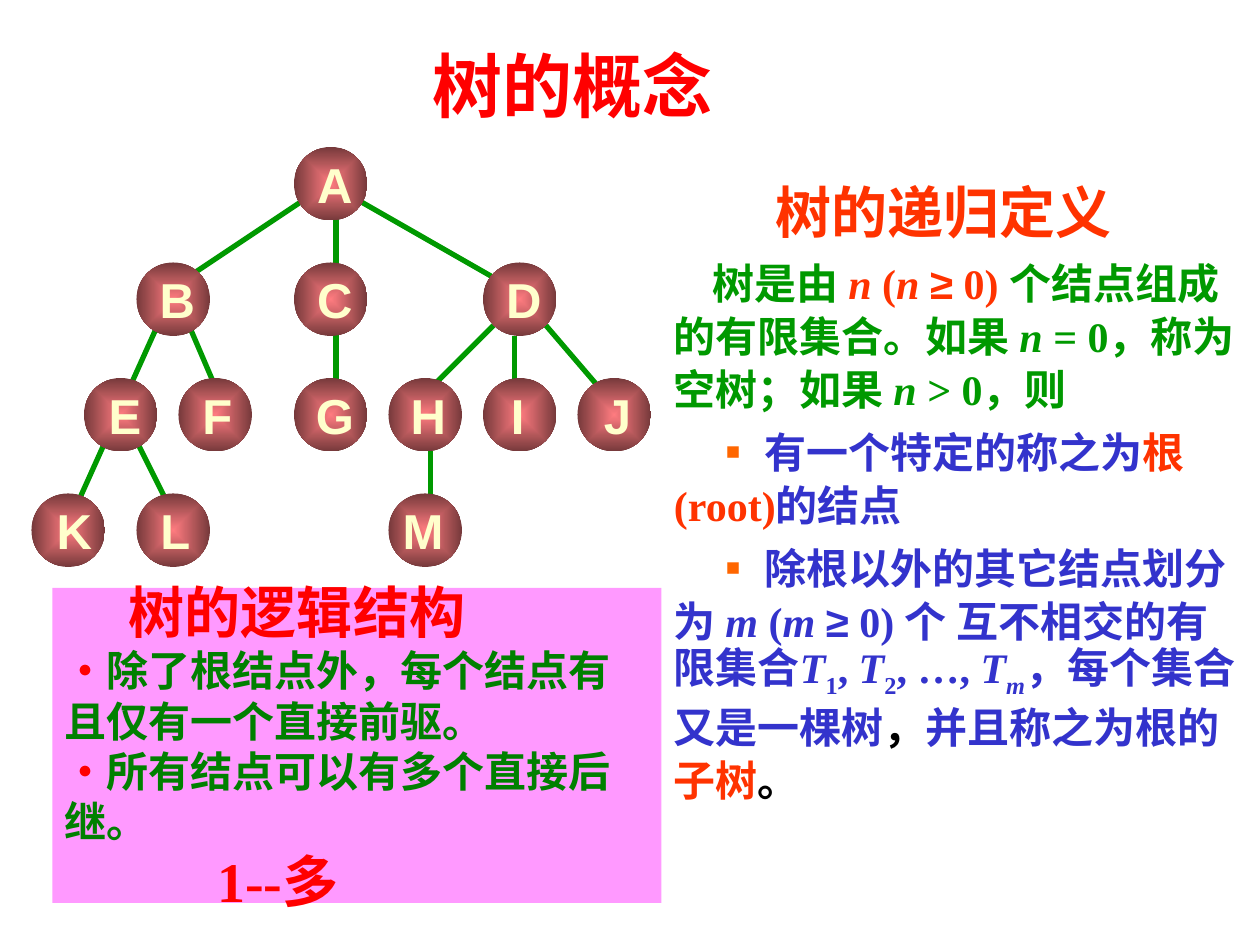
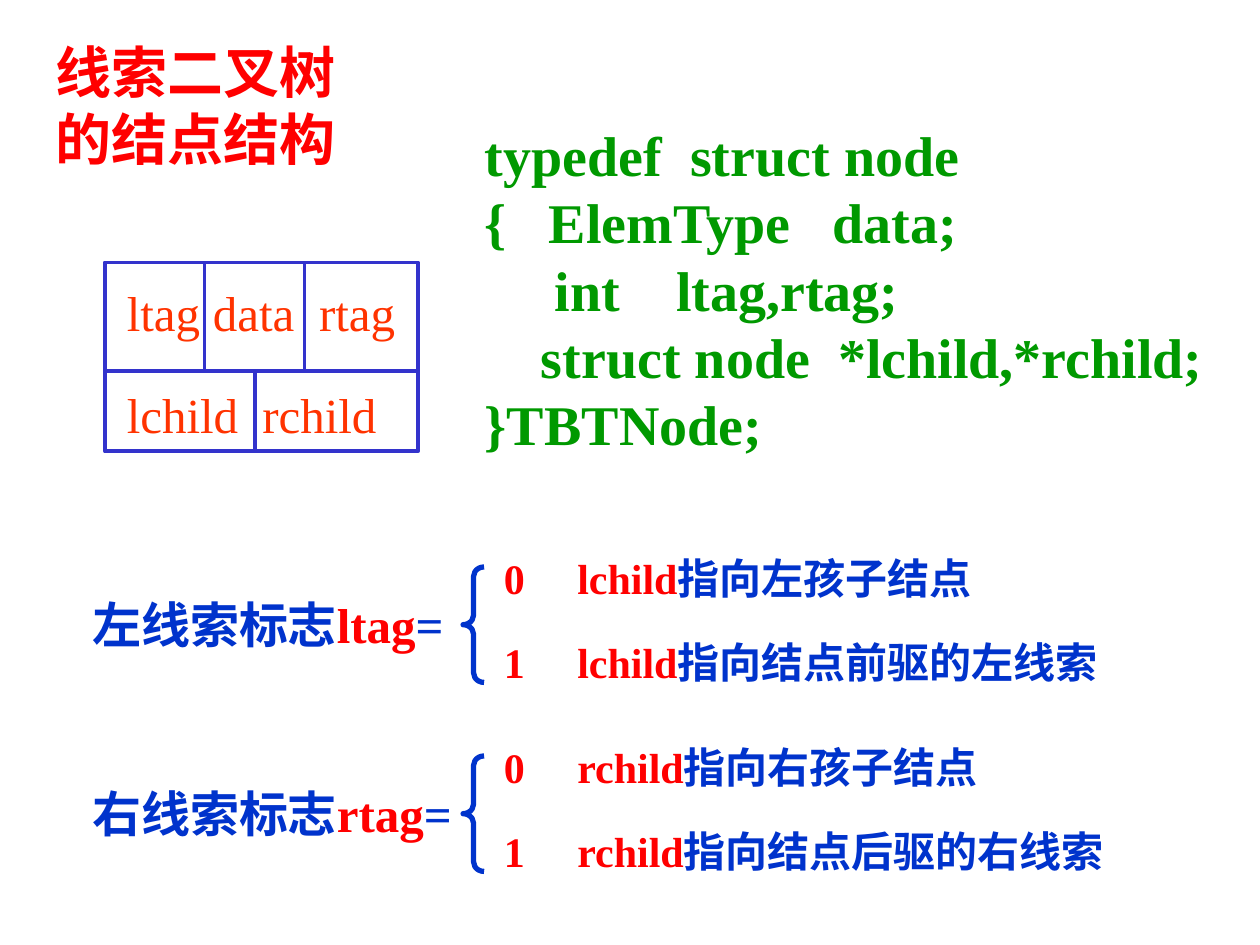
from dataclasses import dataclass

from lxml.etree import SubElement
from pptx import Presentation
from pptx.dml.color import RGBColor
from pptx.enum.shapes import MSO_CONNECTOR, MSO_SHAPE
from pptx.enum.text import MSO_ANCHOR, PP_ALIGN
from pptx.oxml.ns import qn
from pptx.util import Emu, Pt

EMU_PER_PX = 7620


@dataclass(frozen=True)
class Theme:
    """Colours, fonts and type sizes shared by the slides."""
    red: str = "FF0000"
    vermilion: str = "FF3300"
    orange: str = "FF6600"
    green: str = "009900"
    dark_green: str = "008000"
    indigo: str = "3333CC"
    blue: str = "0033CC"
    black: str = "000000"
    cream: str = "FFFFCC"
    pink: str = "FF99FF"
    node_light: str = "FF7C80"
    node_dark: str = "76393B"
    serif: str = "Times New Roman"
    sans: str = "Arial"
    chinese: str = "Noto Sans CJK SC"
    title: int = 40
    heading: int = 32
    label: int = 28
    body: int = 24
    leading: float = 1.2
    loose_leading: float = 1.26


THEME = Theme()


@dataclass(frozen=True)
class Span:
    """A run of text in one style."""
    text: str
    color: str
    italic: bool = False
    subscript: bool = False
    font: str = THEME.serif
    bold: bool = True


@dataclass(frozen=True)
class Line:
    """A paragraph made of spans."""
    spans: tuple
    size: int = THEME.body
    indent: int = 0
    before: int = 0
    leading: float = THEME.leading
    align: PP_ALIGN = PP_ALIGN.LEFT


def px(length):
    """Turn pixels into EMU."""
    return Emu(length * EMU_PER_PX)


def rgb(color):
    """Turn a hex string into a colour."""
    return RGBColor.from_string(color)


def write_line(para, line):
    """Fill a paragraph with the spans of a line."""
    properties = para._p.get_or_add_pPr()
    properties.set("marL", "0")
    properties.set("indent", str(px(line.indent)))
    para.alignment = line.align
    para.line_spacing = Pt(round(line.size * line.leading, 1))
    para.space_before = Pt(line.before)
    for span in line.spans:
        run = para.add_run()
        run.text = span.text
        run.font.name = span.font
        run.font.size = Pt(line.size)
        run.font.bold = span.bold
        run.font.italic = span.italic
        run.font.color.rgb = rgb(span.color)
        run_properties = run.font._element
        SubElement(run_properties, qn("a:ea"), typeface=THEME.chinese)
        if span.subscript:
            run_properties.set("baseline", "-25000")


def write(shape, lines, wrap=True, anchor=MSO_ANCHOR.TOP):
    """Write lines into the text frame of a shape."""
    frame = shape.text_frame
    frame.word_wrap = wrap
    frame.vertical_anchor = anchor
    for index, line in enumerate(lines):
        para = frame.add_paragraph() if index else frame.paragraphs[0]
        write_line(para, line)


def add_text(page, box, lines, wrap=True, anchor=MSO_ANCHOR.TOP):
    """Add a text box holding lines."""
    shape = page.shapes.add_textbox(*map(px, box))
    write(shape, lines, wrap, anchor)


def add_shape(page, kind, box, fill=None, line=None, weight=0):
    """Add a flat preset shape."""
    shape = page.shapes.add_shape(kind, *map(px, box))
    shape.shadow.inherit = False
    if fill:
        shape.fill.solid()
        shape.fill.fore_color.rgb = rgb(fill)
    else:
        shape.fill.background()
    if line:
        shape.line.color.rgb = rgb(line)
        shape.line.width = Pt(weight)
    else:
        shape.line.fill.background()
    return shape


def add_line(page, start, end, color, weight):
    """Add a straight line without shadow."""
    line = page.shapes.add_connector(MSO_CONNECTOR.STRAIGHT, *map(px, (*start, *end)))
    line.line.color.rgb = rgb(color)
    line.line.width = Pt(weight)
    SubElement(line._element.spPr, qn("a:effectLst"))


def add_node(page, box, letter, nudge):
    """Add a glowing tree node whose letter is nudged sideways."""
    node = add_shape(page, MSO_SHAPE.OVAL, box)
    node.fill.gradient()
    for stop, color in zip(node.fill.gradient_stops, (THEME.node_light, THEME.node_dark)):
        stop.color.rgb = rgb(color)
    gradient = node._element.spPr.find(qn("a:gradFill"))
    gradient.remove(gradient.find(qn("a:lin")))
    glow = SubElement(gradient, qn("a:path"), {"path": "rect"})
    SubElement(glow, qn("a:fillToRect"), {side: "50000" for side in "ltrb"})
    frame = node.text_frame
    frame.margin_top = frame.margin_bottom = 0
    frame.margin_left, frame.margin_right = px(max(2 * nudge, 0)), px(max(-2 * nudge, 0))
    span = Span(letter, THEME.cream, font=THEME.sans)
    write(node, [Line((span,), THEME.label, align=PP_ALIGN.CENTER)], False, MSO_ANCHOR.MIDDLE)


def draw_tree(page, box):
    """Draw the edges and then the nodes of the example tree."""
    left, top, _, _ = box
    diameter, row_step = 70, 110
    edges = (
        ((490, 170), (550, 240)), ((440, 170), (380, 230)), ((460, 180), (460, 230)),
        ((380, 290), (380, 350)), ((310, 50), (450, 130)), ((260, 50), (140, 130)),
        ((290, 60), (290, 290)), ((150, 170), (180, 240)), ((100, 280), (130, 340)),
        ((120, 170), (30, 370)),
    )
    rows = (
        (("A", 250, 4),),
        (("B", 100, 4), ("C", 250, 4), ("D", 430, 4)),
        (("E", 50, 4), ("F", 140, 2), ("G", 250, 4), ("H", 340, 3), ("I", 430, -2), ("J", 520, 3)),
        (("K", 0, 6), ("L", 100, 2), ("M", 340, -2)),
    )
    for edge in edges:
        start, end = ((left + x, top + y) for x, y in edge)
        add_line(page, start, end, THEME.green, 3)
    for level, row in enumerate(rows):
        for letter, x, nudge in row:
            node_box = (left + x, top + level * row_step, diameter, diameter)
            add_node(page, node_box, letter, nudge)


def draw_definition(page, box):
    """Write the recursive definition of a tree."""
    red, green, indigo = THEME.vermilion, THEME.green, THEME.indigo
    bullet = Span("▪ ", THEME.orange, font=THEME.sans)

    def count(name, color):
        """Give the spans of a bound such as n (n ≥ 0)."""
        return (Span(name, color, True), Span(" (", color), Span(name + " ", color, True),
                Span("≥", color, font=THEME.sans), Span(" 0) ", color))

    def subtree(index, italic=False):
        """Give the spans of a subtree name with its subscript."""
        return Span("T", indigo, True), Span(index, indigo, italic, True)

    intro = (Span("树是由 ", green), *count("n", red), Span("个结点组成的有限集合。如果 ", green),
             Span("n", green, True), Span(" = 0，称为空树；如果 ", green),
             Span("n", green, True), Span(" > 0，则", green))
    root = (bullet, Span("有一个特定的称之为", indigo), Span("根(root)", red), Span("的结点", indigo))
    rest = (bullet, Span("除根以外的其它结点划分为 ", indigo), *count("m", indigo),
            Span("个 互不相交的有限集合", indigo), *subtree("1"), Span(", ", indigo),
            *subtree("2"), Span(", …, ", indigo), *subtree("m", True),
            Span("，每个集合又是一棵树", indigo), Span("，", THEME.black),
            Span("并且称之为根的", indigo), Span("子树", red), Span("。", THEME.black))
    loose = THEME.loose_leading
    lines = [Line((Span("树的递归定义", red),), THEME.heading, 97, leading=loose)]
    for spans in (intro, root, rest):
        lines.append(Line(spans, indent=37, before=6, leading=loose))
    add_text(page, box, lines)


def draw_logic(page, box):
    """Draw the pink panel on the logical structure."""
    panel = add_shape(page, MSO_SHAPE.RECTANGLE, box, THEME.pink)
    facts = ("除了根结点外，每个结点有且仅有一个直接前驱。", "所有结点可以有多个直接后继。")
    lines = [Line((Span("树的逻辑结构", THEME.red),), THEME.heading, 61)]
    lines += [Line((Span("•", THEME.red), Span(fact, THEME.dark_green))) for fact in facts]
    lines.append(Line((Span("1--多", THEME.red),), THEME.heading, 145))
    write(panel, lines, anchor=MSO_ANCHOR.MIDDLE)


def draw_title(page, box, texts, size, anchor):
    """Write a red centred title, one paragraph per text."""
    lines = [Line((Span(text, THEME.red),), size, align=PP_ALIGN.CENTER) for text in texts]
    add_text(page, box, lines, anchor=anchor)


def draw_record(page, box):
    """Draw the node record with its five fields."""
    left, top, width, height = box
    middle, bottom = top + 103, top + height
    fields = (("ltag", 9, 13), ("data", 91, 13), ("rtag", 192, 13),
              ("lchild", 9, 110), ("rchild", 138, 110))
    for name, x, y in fields:
        span = Span(name, THEME.vermilion, bold=False)
        add_text(page, (left + x, top + y, 150, 68), [Line((span,), THEME.label)], False)
    add_shape(page, MSO_SHAPE.RECTANGLE, box, line=THEME.indigo, weight=2.25)
    rules = (
        ((left, middle), (left + width, middle), 2.25),
        ((left + 95, top), (left + 95, middle), 1.5),
        ((left + 190, top), (left + 190, middle), 2.25),
        ((left + 143, middle), (left + 143, bottom), 2.25),
    )
    for start, end, weight in rules:
        add_line(page, start, end, THEME.indigo, weight)


def draw_code(page, box):
    """Write the type declaration of the node."""
    code = (
        "typedef  struct node",
        "{   ElemType   data;",
        "     int    ltag,rtag;",
        "    struct node  *lchild,*rchild;",
        "}TBTNode;",
    )
    lines = [Line((Span(text, THEME.green),), THEME.heading) for text in code]
    add_text(page, box, lines, False, MSO_ANCHOR.MIDDLE)


def draw_flag(page, box, label, tag, child, meanings):
    """Draw a flag with a brace and the meaning of its two values."""
    left, top, _, _ = box
    name = Line((Span(label, THEME.blue), Span(tag, THEME.red), Span("=", THEME.blue)), THEME.label)
    add_text(page, (left, top + 40, 400, 68), [name], False)
    brace_box = (left + 365, top + 20, 20, 110)
    brace = add_shape(page, MSO_SHAPE.LEFT_BRACE, brace_box, line=THEME.blue, weight=3)
    brace.adjustments[0] = 0.45
    for value, meaning in enumerate(meanings):
        row_top = top + value * 80
        digit = Span(str(value), THEME.red)
        sentence = Span(child, THEME.red), Span(meaning, THEME.blue)
        add_text(page, (left + 392, row_top, 60, 60), [Line((digit,))], False)
        add_text(page, (left + 462, row_top, 580, 60), [Line(sentence)], False)


def build_concept(page):
    """Build the slide on the concept of a tree."""
    draw_definition(page, (630, 160, 570, 688))
    draw_title(page, (100, 30, 890, 100), ("树的概念",), THEME.title, MSO_ANCHOR.MIDDLE)
    draw_tree(page, (30, 140, 590, 400))
    draw_logic(page, (50, 560, 580, 300))


def build_threaded(page):
    """Build the slide on the node of a threaded binary tree."""
    draw_title(page, (26, 30, 320, 140), ("线索二叉树", "的结点结构"), THEME.heading, MSO_ANCHOR.TOP)
    draw_flag(page, (76, 520, 1042, 140), "左线索标志", "ltag", "lchild",
              ("指向左孩子结点", "指向结点前驱的左线索"))
    draw_flag(page, (76, 700, 1042, 140), "右线索标志", "rtag", "rchild",
              ("指向右孩子结点", "指向结点后驱的右线索"))
    draw_record(page, (100, 250, 298, 180))
    draw_code(page, (450, 109, 709, 332))


def main():
    """Build and save the deck."""
    deck = Presentation()
    deck.slide_width, deck.slide_height = px(1200), px(900)
    for build in (build_concept, build_threaded):
        build(deck.slides.add_slide(deck.slide_layouts[6]))
    deck.save("out.pptx")


if __name__ == "__main__":
    main()
